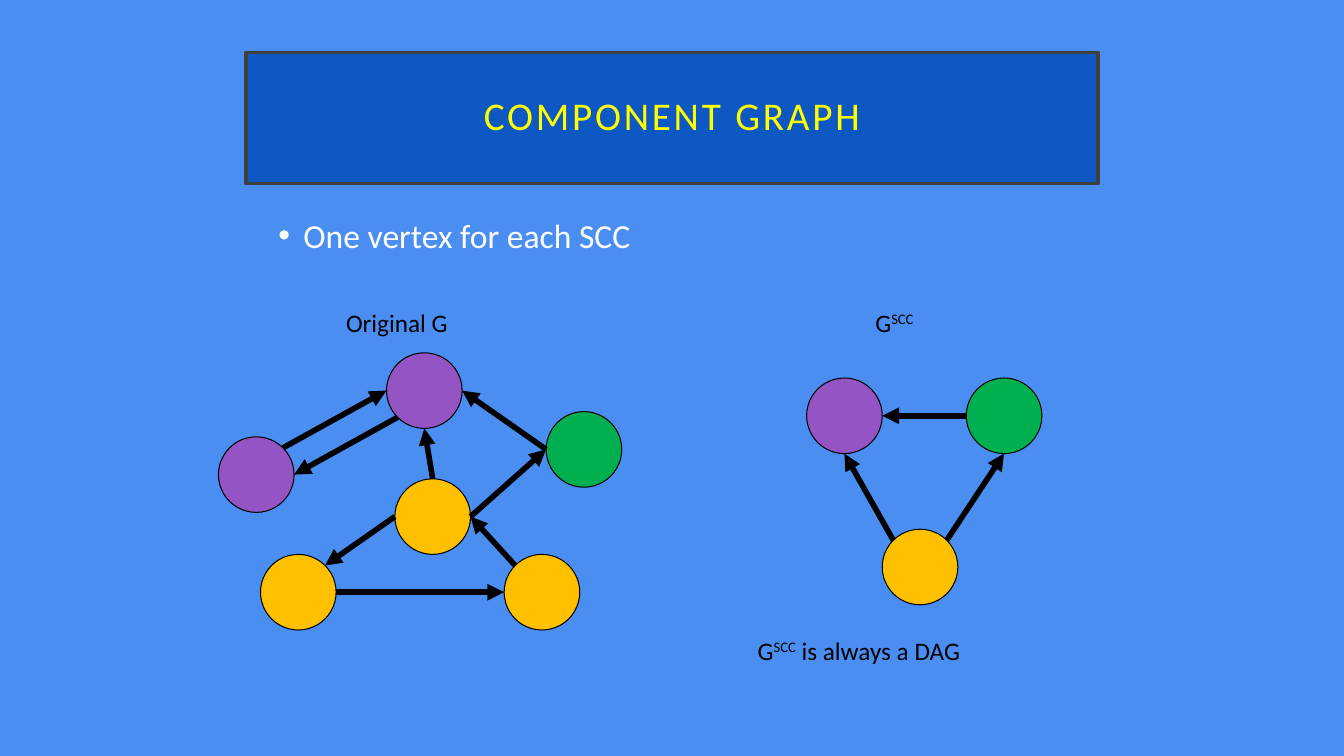
from pptx import Presentation
from pptx.dml.color import RGBColor
from pptx.enum.shapes import MSO_CONNECTOR, MSO_SHAPE
from pptx.enum.text import MSO_ANCHOR, MSO_AUTO_SIZE, PP_ALIGN
from pptx.oxml.ns import qn
from pptx.util import Inches, Pt
from lxml.etree import SubElement

SKY = RGBColor(0x4A, 0x8E, 0xF2)
BLUE = RGBColor(0x0E, 0x58, 0xC4)
GREY = RGBColor(0x40, 0x40, 0x40)
YELLOW = RGBColor(0xFF, 0xFF, 0x00)
WHITE = RGBColor(0xFF, 0xFF, 0xFF)
BLACK = RGBColor(0x00, 0x00, 0x00)
PURPLE = RGBColor(0x94, 0x54, 0xC3)
GOLD = RGBColor(0xFF, 0xC0, 0x00)
GREEN = RGBColor(0x00, 0xB0, 0x50)

CELL = 1 / 12  # grid step in inches
SIZE = 9  # vertex diameter in grid steps
NEAR, FAR = 0.146, 0.854  # diagonal points of a circle, as shares of its box
SITES = {
    "top": (0.5, 0), "bottom": (0.5, 1), "left": (0, 0.5), "right": (1, 0.5),
    "top left": (NEAR, NEAR), "top right": (FAR, NEAR),
    "bottom left": (NEAR, FAR),
}


def write(sp, *parts, size=18, color=BLACK, align=PP_ALIGN.LEFT, line=1.0,
          spacing=0, bullet=None, wrap=True, fit=MSO_AUTO_SIZE.NONE):
    """Fill sp with one paragraph; every second part is superscript."""
    tf = sp.text_frame
    tf.word_wrap = wrap
    tf.auto_size = fit
    p = tf.paragraphs[0]
    p.alignment, p.line_spacing, p.space_before = align, line, Pt(0)
    if bullet:
        pPr = p._p.get_or_add_pPr()
        pPr.set("marL", str(Inches(0.25)))
        pPr.set("indent", str(-Inches(0.25)))
        SubElement(SubElement(pPr, qn("a:buClr")), qn("a:srgbClr"), val=str(color))
        SubElement(pPr, qn("a:buFont"), typeface="Arial")
        SubElement(pPr, qn("a:buChar"), char=bullet)
    for i, part in enumerate(parts):
        r = p.add_run()
        r.text = part
        r.font.name, r.font.size = "Calibri", Pt(size)
        r.font.color.rgb = color
        rPr = r._r.get_or_add_rPr()
        if spacing:
            rPr.set("spc", str(spacing * 100))
        if i % 2:
            rPr.set("baseline", "30000")


def site(vertex, name):
    """Point on the rim of a vertex."""
    col, row, _ = VERTICES[vertex]
    dx, dy = SITES[name]
    return Inches((col + dx * SIZE) * CELL), Inches((row + dy * SIZE) * CELL)


prs = Presentation()
prs.slide_width, prs.slide_height = Inches(13.33), Inches(7.5)
s = prs.slides.add_slide(prs.slide_layouts[1])
s.background.fill.solid()
s.background.fill.fore_color.rgb = SKY

title, body = s.shapes.title, s.placeholders[1]
title.left, title.top, title.width, title.height = map(Inches, (2.44, 0.52, 8.45, 1.3))
title.fill.solid()
title.fill.fore_color.rgb = BLUE
title.line.color.rgb = GREY
title.line.width = Pt(2.5)
tf = title.text_frame
tf.margin_left = tf.margin_right = tf.margin_top = tf.margin_bottom = Inches(0.2)
tf.vertical_anchor = MSO_ANCHOR.MIDDLE
write(title, "COMPONENT GRAPH", size=28, color=YELLOW, align=PP_ALIGN.CENTER,
      line=0.9, spacing=2)

body.left, body.top, body.width, body.height = map(Inches, (2.66, 2.08, 8.87, 0.82))
write(body, "One vertex for each SCC", size=24, color=WHITE, bullet="•")

# Vertices: column and row of the grid, colour of the component
VERTICES = {
    "west": (26, 52, PURPLE), "north": (46, 42, PURPLE),
    "south west": (31, 66, GOLD), "south east": (60, 66, GOLD),
    "centre": (47, 57, GOLD), "east": (65, 49, GREEN),
    "scc purple": (96, 45, PURPLE), "scc gold": (105, 63, GOLD),
    "scc green": (115, 45, GREEN),
}
for col, row, color in VERTICES.values():
    sp = s.shapes.add_shape(MSO_SHAPE.OVAL, Inches(col * CELL), Inches(row * CELL),
                            Inches(SIZE * CELL), Inches(SIZE * CELL))
    sp.shadow.inherit = False
    sp.fill.solid()
    sp.fill.fore_color.rgb = color
    sp.line.color.rgb = BLACK
    sp.line.width = Pt(0.75)

EDGES = [
    ("south west", "right", "south east", "left"),
    ("south east", "top left", "centre", "right"),
    ("centre", "left", "south west", "top right"),
    ("west", "top right", "north", "left"),
    ("north", "bottom left", "west", "right"),
    ("centre", "top", "north", "bottom"),
    ("east", "left", "north", "right"),
    ("centre", "right", "east", "left"),
    ("scc gold", "top left", "scc purple", "bottom"),
    ("scc green", "left", "scc purple", "right"),
    ("scc gold", "top right", "scc green", "bottom"),
]
for start, start_site, end, end_site in EDGES:
    edge = s.shapes.add_connector(MSO_CONNECTOR.STRAIGHT, *site(start, start_site),
                                  *site(end, end_site))
    edge.line.color.rgb = BLACK
    edge.line.width = Pt(4)
    SubElement(edge.line._get_or_add_ln(), qn("a:tailEnd"), type="triangle")
    SubElement(edge._element.spPr, qn("a:effectLst"))

LABELS = [
    (40, 36, 1.22, False, ["Original G"]),
    (103, 36, 0.62, False, ["G", "SCC"]),
    (89, 75, 3.5, True, ["G", "SCC", " is always a DAG"]),
]
for col, row, width, wrap, parts in LABELS:
    label = s.shapes.add_textbox(Inches(col * CELL), Inches(row * CELL),
                                 Inches(width), Inches(0.4))
    write(label, *parts, wrap=wrap, fit=MSO_AUTO_SIZE.SHAPE_TO_FIT_TEXT)

prs.save("out.pptx")
